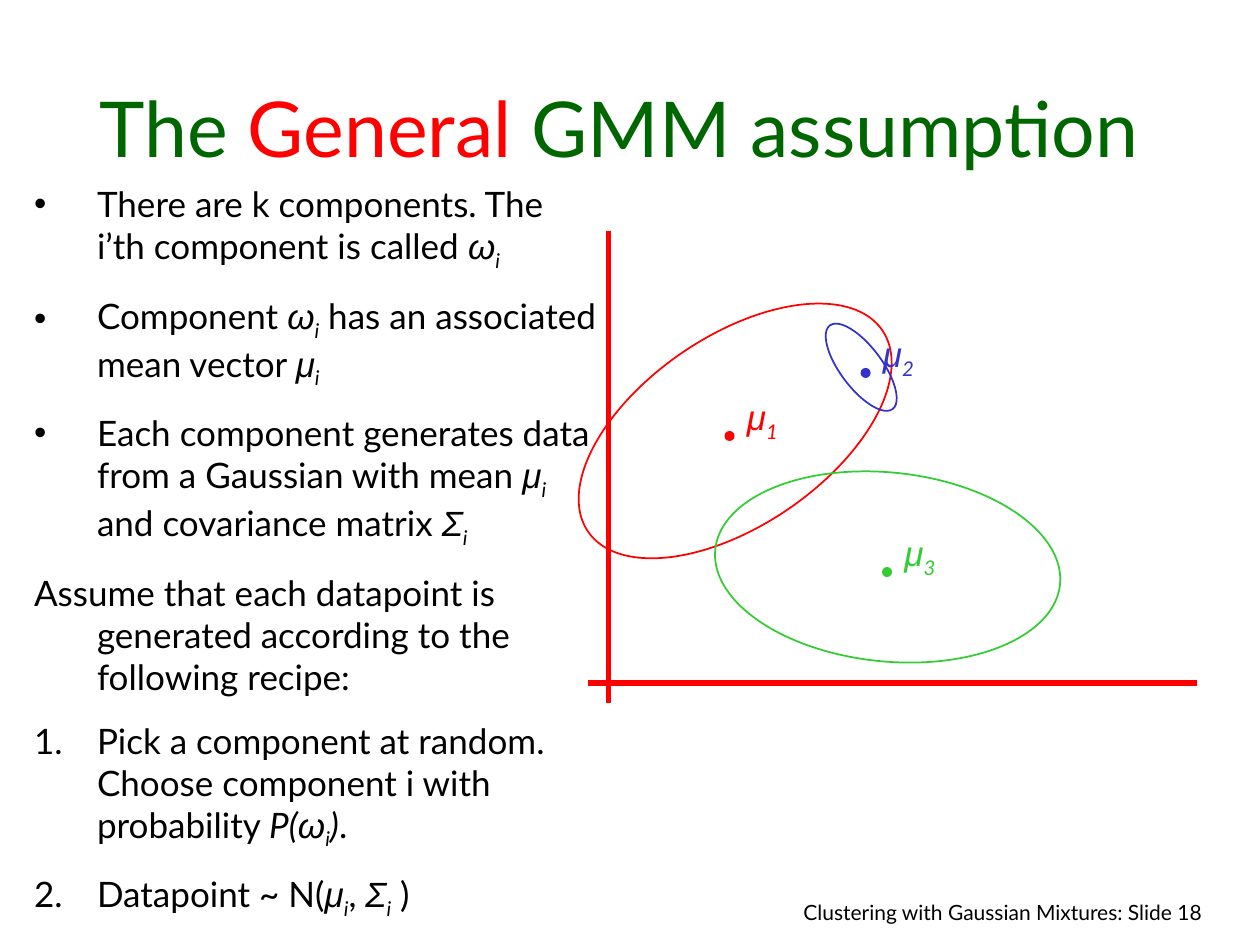
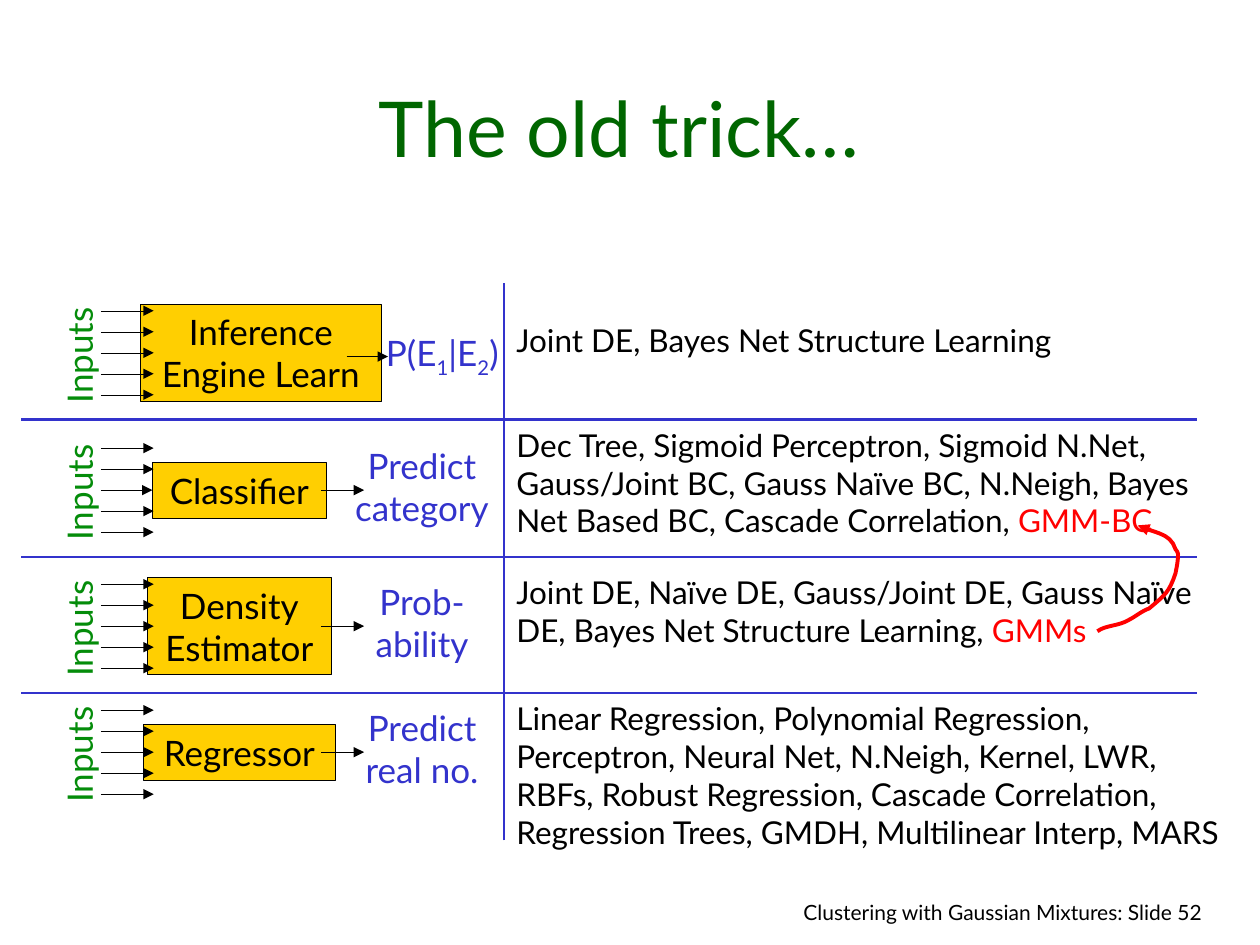
from dataclasses import dataclass
from typing import NamedTuple

from lxml.etree import SubElement
from pptx import Presentation
from pptx.dml.color import RGBColor
from pptx.enum.shapes import MSO_CONNECTOR as Link, MSO_SHAPE as Form
from pptx.enum.text import MSO_ANCHOR as Anchor, MSO_AUTO_SIZE as Fit, PP_ALIGN as Align
from pptx.oxml.ns import qn
from pptx.util import Inches, Pt

BLACK = RGBColor(0x00, 0x00, 0x00)
RED = RGBColor(0xFF, 0x00, 0x00)
BLUE = RGBColor(0x33, 0x33, 0xCC)
LIME = RGBColor(0x33, 0xCC, 0x33)
GREEN = RGBColor(0x00, 0x66, 0x00)
LEAF = RGBColor(0x04, 0x8C, 0x0A)
GOLD = RGBColor(0xFF, 0xCF, 0x01)
FONT, GREEK = "Lato", "Arial"


class Run(NamedTuple):
    text: str
    color: RGBColor | None = None
    italic: bool = False
    sub: bool = False
    font: str = FONT


class Item(NamedTuple):
    runs: list[Run]
    mark: str = ""


class Gauss(NamedTuple):
    sub: str
    color: RGBColor
    dot: tuple[float, float]
    oval: tuple[float, float, float, float]
    angle: float


class Note(NamedTuple):
    top: float
    high: float
    gap: float
    runs: list[Run]


@dataclass
class Row:
    mid: float
    label: list[str]
    wide: float
    high: float
    out: list[list[Run]]
    out_w: float
    out_h: float = 0.77
    box_mid: float = 1.9
    out_mid: float = 3.35
    out_dy: float = -0.03
    tip: tuple[float, float, float] = (2.55, 2.89, 0)


def sym(letter: str, sub: str = "i") -> list[Run]:
    return [Run(letter, italic=True, font=GREEK), Run(sub, italic=True, sub=True)]


# Text
def fill_par(par, runs: list[Run], size: float, color: RGBColor) -> None:
    for part in runs:
        run = par.add_run()
        run.text = part.text
        font = run.font
        font.name, font.size, font.italic = part.font, Pt(size), part.italic
        font.color.rgb = part.color or color
        if part.sub:
            run._r.get_or_add_rPr().set("baseline", "-25000")


def put_text(frame, lines: list[list[Run]], size: float, color: RGBColor,
             align=Align.LEFT, gap: float = 0, wrap: bool = True) -> None:
    frame.word_wrap = wrap
    frame.auto_size = Fit.SHAPE_TO_FIT_TEXT
    for i, runs in enumerate(lines):
        par = frame.paragraphs[0] if i == 0 else frame.add_paragraph()
        par.alignment, par.space_before = align, Pt(gap)
        fill_par(par, runs, size, color)


def add_text(slide, x: float, y: float, w: float, h: float, lines: list[list[Run]],
             size: float, color: RGBColor, **look):
    box = slide.shapes.add_textbox(Inches(x), Inches(y), Inches(w), Inches(h))
    put_text(box.text_frame, lines, size, color, **look)
    return box


def place(shape, x: float, y: float, w: float, h: float) -> None:
    shape.left, shape.top = Inches(x), Inches(y)
    shape.width, shape.height = Inches(w), Inches(h)


# Shapes and lines
def paint(shape, fill: RGBColor | None, line: RGBColor | None, width: float = 1) -> None:
    shape.shadow.inherit = False
    if fill is None:
        shape.fill.background()
    else:
        shape.fill.solid()
        shape.fill.fore_color.rgb = fill
    if line is None:
        shape.line.fill.background()
    else:
        shape.line.color.rgb, shape.line.width = line, Pt(width)


def add_form(slide, form, x: float, y: float, w: float, h: float,
             fill: RGBColor | None, line: RGBColor | None, width: float = 1):
    shape = slide.shapes.add_shape(form, Inches(x), Inches(y), Inches(w), Inches(h))
    paint(shape, fill, line, width)
    return shape


def add_head(shape) -> None:
    SubElement(shape.line._get_or_add_ln(), qn("a:tailEnd"), type="triangle")


def add_line(slide, x1: float, y1: float, x2: float, y2: float,
             color: RGBColor, width: float, head: bool = False):
    line = slide.shapes.add_connector(
        Link.STRAIGHT, Inches(x1), Inches(y1), Inches(x2), Inches(y2))
    line.line.color.rgb, line.line.width = color, Pt(width)
    if head:
        add_head(line)
    SubElement(line._element.spPr, qn("a:effectLst"))
    return line


# Shared frame: title and footer
def new_slide(deck, layout: int, title: list[Run], page: int):
    slide = deck.slides.add_slide(deck.slide_layouts[layout])
    head = slide.shapes.title
    place(head, 0.25, 0.25, 9.33, 1.17)
    put_text(head.text_frame, [title], 44, GREEN, Align.CENTER)
    head.text_frame.auto_size = Fit.NONE
    head.text_frame.vertical_anchor = Anchor.BOTTOM
    foot = f"Clustering with Gaussian Mixtures: Slide {page}"
    add_text(slide, 5.72, 7.09, 3.92, 0.33, [[Run(foot)]], 12, BLACK,
             align=Align.RIGHT, gap=7.5)
    return slide


# Slide with the mixture of Gaussians
ITEMS = [
    Item([Run("There are k components. The i’th component is called "), *sym("ω")], "•"),
    Item([Run("Component "), *sym("ω"), Run(" has an associated mean vector "),
          *sym("μ")], "•"),
    Item([Run("Each component generates data from a Gaussian with mean "),
          *sym("μ", "i "), Run("and covariance matrix "), *sym("Σ")], "•"),
    Item([Run("Assume that each datapoint is generated according to the "
              "following recipe:")]),
    Item([Run("Pick a component at random. Choose component i with probability "),
          Run("P(", italic=True), *sym("ω"), Run(")", italic=True), Run(".")], "1."),
    Item([Run("Datapoint ~ N("), *sym("μ"), Run(", "), *sym("Σ"), Run(" )")], "1."),
]
MODELS = [
    Gauss("1", RED, (5.75, 3.42), (4.42, 2.67, 2.83, 1.5), 325.6),
    Gauss("2", BLUE, (6.83, 2.92), (6.42, 2.75, 0.83, 0.33), 53.1),
    Gauss("3", LIME, (7, 4.5), (5.67, 3.75, 2.75, 1.5), 5.8),
]


def set_mark(par, mark: str) -> None:
    props = par._p.get_or_add_pPr()
    props.set("marL", str(Inches(0.5)))
    props.set("indent", str(-Inches(0.5)))
    if not mark:
        SubElement(props, qn("a:buNone"))
        return
    SubElement(SubElement(props, qn("a:buClr")), qn("a:srgbClr"), val=str(BLACK))
    if mark == "•":
        SubElement(props, qn("a:buFont"), typeface=GREEK)
        SubElement(props, qn("a:buChar"), char=mark)
    else:
        SubElement(props, qn("a:buFont"), typeface=FONT)
        SubElement(props, qn("a:buAutoNum"), type="arabicPeriod")


def draw_model(slide, model: Gauss) -> None:
    x, y = model.dot
    add_form(slide, Form.OVAL, x, y, 0.08, 0.08, model.color, None)
    add_text(slide, x + 0.08, y - 0.33, 0.5, 0.48, [sym("μ", model.sub)], 20,
             model.color, gap=12.5)
    oval = add_form(slide, Form.OVAL, *model.oval, None, model.color)
    oval.rotation = model.angle


def gmm_slide(deck) -> None:
    title = [Run("The "), Run("General", RED), Run(" GMM assumption")]
    slide = new_slide(deck, 1, title, 18)
    body = slide.placeholders[1]
    place(body, 0.17, 1.4, 4.67, 6.29)
    frame = body.text_frame
    put_text(frame, [item.runs for item in ITEMS], 20, BLACK, gap=12.5)
    for par, item in zip(frame.paragraphs, ITEMS):
        set_mark(par, item.mark)
    # Axes
    add_line(slide, 4.83, 1.83, 4.83, 5.58, RED, 3)
    add_line(slide, 9.5, 5.42, 4.67, 5.42, RED, 3)
    for model in MODELS:
        draw_model(slide, model)


# Slide with the four kinds of learner
ROWS = [
    Row(2.8, ["Inference", "Engine Learn"], 1.91, 0.77,
        [[Run("P(E"), Run("1", sub=True), Run("|E"), Run("2", sub=True), Run(")")]],
        1.18, 0.48, 2.07, 3.51, 0.02, (2.75, 3.08, 0.03)),
    Row(3.89, ["Classifier"], 1.38, 0.44, [[Run("Predict")], [Run("category")]], 1.34),
    Row(4.97, ["Density", "Estimator"], 1.46, 0.77,
        [[Run("Prob-")], [Run("ability")]], 0.98),
    Row(5.97, ["Regressor"], 1.52, 0.44, [[Run("Predict")], [Run("real no.")]], 1.19),
]
NOTES = [
    Note(2.5, 0.4, 11.2, [Run("Joint DE, Bayes Net Structure Learning")]),
    Note(3.33, 1, 2.2, [
        Run("Dec Tree, Sigmoid Perceptron, Sigmoid N.Net, Gauss/Joint BC, Gauss Naïve "
            "BC, N.Neigh, Bayes Net Based BC, Cascade Correlation, "),
        Run("GMM-BC", RED)]),
    Note(4.5, 0.7, 11.2, [
        Run("Joint DE, Naïve DE, Gauss/Joint DE, Gauss Naïve DE, Bayes Net Structure "
            "Learning, "), Run("GMMs", RED)]),
    Note(5.5, 1.6, 11.2, [
        Run("Linear Regression, Polynomial Regression, Perceptron, Neural Net, N.Neigh, "
            "Kernel, LWR, RBFs, Robust Regression, Cascade Correlation, Regression "
            "Trees, GMDH, Multilinear Interp, MARS")]),
]
# Start point, then two controls and an end point for each curve
CURVE = [
    (8.71, 5.01), (8.78, 4.96), (8.88, 4.97), (8.96, 4.92),
    (9.02, 4.89), (9.06, 4.85), (9.12, 4.83),
    (9.25, 4.72), (9.28, 4.7), (9.33, 4.55),
    (9.34, 4.5), (9.35, 4.45), (9.35, 4.4),
    (9.35, 4.39), (9.34, 4.37), (9.33, 4.36),
    (9.29, 4.22), (9.14, 4.23), (9.03, 4.17),
]


def draw_row(slide, row: Row) -> None:
    look = {"align": Align.CENTER, "wrap": False}
    tag = add_text(slide, 0.11, row.mid - 0.2, 1.04, 0.44, [[Run("Inputs")]], 20,
                   LEAF, **look)
    tag.rotation = 270
    box = add_form(slide, Form.RECTANGLE, row.box_mid - row.wide / 2,
                   row.mid - row.high / 2, row.wide, row.high, GOLD, BLACK, 0.25)
    put_text(box.text_frame, [[Run(text)] for text in row.label], 20, BLACK, **look)
    box.text_frame.vertical_anchor = Anchor.MIDDLE
    add_text(slide, row.out_mid - row.out_w / 2, row.mid + row.out_dy - row.out_h / 2,
             row.out_w, row.out_h, row.out, 20, BLUE, **look)
    # Arrows in and out
    for step in range(-2, 3):
        y = row.mid + step / 6
        line = add_line(slide, 0.8, y, 1.22, y, BLACK, 0.25, head=True)
        if step == 0 and abs(box.left - Inches(1.22)) <= Inches(0.02):
            line.end_connect(box, 1)
    start, end, drop = row.tip
    add_line(slide, start, row.mid + drop, end, row.mid + drop, BLACK, 0.25, head=True)


def trace(knots: list[tuple[float, float]], steps: int = 8) -> list[tuple[int, int]]:
    points = []
    for i in range(0, len(knots) - 1, 3):
        for k in range(1, steps + 1):
            t = k / steps
            mix = ((1 - t) ** 3, 3 * t * (1 - t) ** 2, 3 * t * t * (1 - t), t ** 3)
            x, y = (sum(m * knot[axis] for m, knot in zip(mix, knots[i:i + 4]))
                    for axis in (0, 1))
            points.append((Inches(x), Inches(y)))
    return points


def trick_slide(deck) -> None:
    slide = new_slide(deck, 5, [Run("The old trick…")], 52)
    # Grid
    for y in (3.33, 4.42, 5.5):
        add_line(slide, 0.17, y, 9.5, y, BLUE, 1.5)
    add_line(slide, 4, 6.67, 4, 2.25, BLUE, 1.5)
    for row, note in zip(ROWS, NOTES):
        draw_row(slide, row)
        add_text(slide, 4, note.top, 5.85, note.high, [note.runs], 18, BLACK,
                 gap=note.gap)
    # Curved arrow from GMMs to GMM-BC
    x, y = CURVE[0]
    path = slide.shapes.build_freeform(Inches(x), Inches(y))
    path.add_line_segments(trace(CURVE), close=False)
    swoop = path.convert_to_shape()
    paint(swoop, None, RED, 2.25)
    add_head(swoop)


def main() -> None:
    deck = Presentation()
    deck.slide_width, deck.slide_height = Inches(10), Inches(7.5)
    gmm_slide(deck)
    trick_slide(deck)
    deck.save("out.pptx")


if __name__ == "__main__":
    main()
